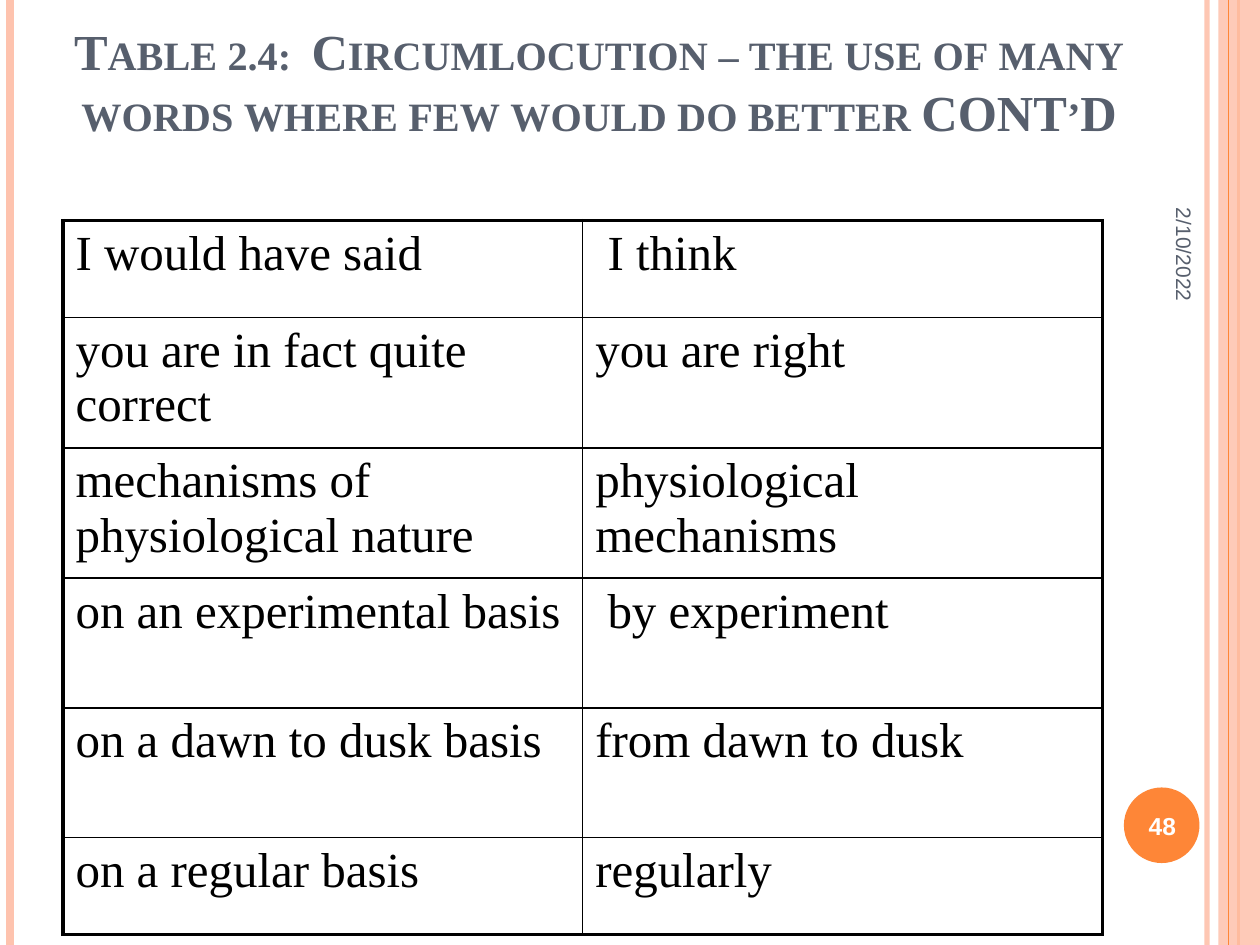
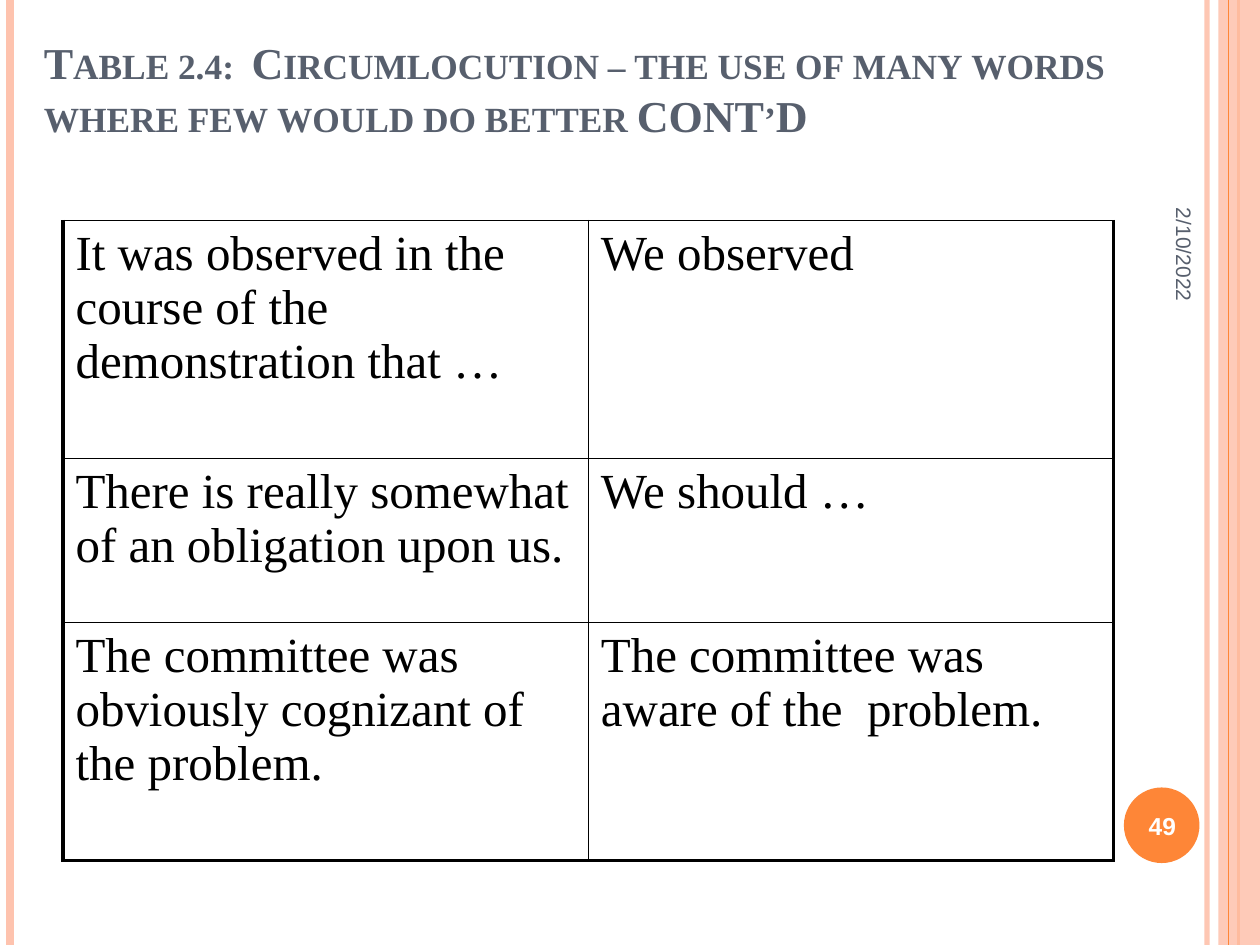
from lxml.etree import SubElement
from pptx import Presentation
from pptx.dml.color import RGBColor
from pptx.enum.shapes import MSO_CONNECTOR, MSO_SHAPE
from pptx.enum.text import MSO_ANCHOR as Anchor, PP_ALIGN as Align
from pptx.oxml.ns import qn
from pptx.util import Inches, Pt

COLORS = {"peach": "FEC3AE", "orange": "FE8637", "slate": "575F6D",
          "black": "000000", "white": "FFFFFF"}
SERIF, SANS = "Times New Roman", "Arial"
SLIDE_WIDTH, SLIDE_HEIGHT = 10, 7.5
THICK, THIN = 2.25, 1

TITLE = ("Table 2.4:  Circumlocution – the use of many words "
         "where few would do better CONT’D")
TITLE_FORMAT = {"name": SERIF, "bold": True, "color": "slate"}
CELL_FORMAT = {"name": SERIF, "size": Pt(28), "color": "black"}
DATE_FORMAT = {"name": SANS, "size": Pt(12), "color": "slate"}
NUMBER_FORMAT = {"name": SANS, "size": Pt(14), "bold": True, "color": "white"}

SLIDES = [
    {"number": 48, "title_left": 0.17, "title_size": 28.8, "align": Align.CENTER,
     "column": 4.125, "top_border": THICK,
     "heights": [0.77, 1.03, 1.03, 1.03, 1.03, 0.77],
     "rows": [("I would have said", " I think"),
              ("you are in fact quite correct", "you are right"),
              ("mechanisms of physiological nature", "physiological mechanisms"),
              ("on an experimental basis", " by experiment"),
              ("on a dawn to dusk basis", "from dawn to dusk"),
              ("on a regular basis", "regularly")]},
    {"number": 49, "title_left": 0.25, "title_size": 25.2, "align": Align.LEFT,
     "column": 4.17, "top_border": THIN,
     "heights": [1.89, 1.3, 1.89],
     "rows": [("It was observed in the course of the demonstration that …",
               "We observed"),
              ("There is really somewhat of an obligation upon us.",
               "We should …"),
              ("The committee was obviously cognizant of the problem.",
               "The committee was aware of the  problem.")]},
]


def rgb(name):
    return RGBColor.from_string(COLORS[name])


def set_alpha(properties, percent):
    """Make every solid colour below the element partly transparent."""
    for color in properties.iter(qn("a:srgbClr")):
        SubElement(color, qn("a:alpha"), val=str(percent * 1000))


def write(text_frame, text, text_format, align=Align.LEFT):
    paragraph = text_frame.paragraphs[0]
    paragraph.alignment = align
    run = paragraph.add_run()
    run.text = text
    for name, value in text_format.items():
        if name == "color":
            run.font.color.rgb = rgb(value)
        else:
            setattr(run.font, name, value)
    return run


def add_text(slide, box, text, text_format, align, anchor):
    shape = slide.shapes.add_textbox(*map(Inches, box))
    shape.text_frame.word_wrap = True
    shape.text_frame.vertical_anchor = anchor
    run = write(shape.text_frame, text, text_format, align)
    return shape, run


def add_stripe(slide, x, color, width, alpha=None):
    line = slide.shapes.add_connector(MSO_CONNECTOR.STRAIGHT, Inches(x), 0,
                                      Inches(x), Inches(SLIDE_HEIGHT))
    line.line.color.rgb = rgb(color)
    line.line.width = Pt(width)
    properties = line.element.spPr
    if alpha:
        set_alpha(properties, alpha)
    SubElement(properties, qn("a:effectLst"))


def add_filled_shape(slide, kind, box, color, alpha=None):
    shape = slide.shapes.add_shape(kind, *map(Inches, box))
    shape.shadow.inherit = False
    shape.fill.solid()
    shape.fill.fore_color.rgb = rgb(color)
    shape.line.fill.background()
    if alpha:
        set_alpha(shape.element.spPr, alpha)


def add_frame(slide, number):
    # Stripes down both edges
    add_stripe(slide, 9.58, "peach", 3, alpha=93)
    add_stripe(slide, 0.08, "peach", 4.5)
    add_stripe(slide, 9.83, "orange", 1.5)
    add_filled_shape(slide, MSO_SHAPE.RECTANGLE,
                     (9.67, 0, 0.33, SLIDE_HEIGHT), "peach", alpha=87)
    add_stripe(slide, 9.75, "orange", 0.75)
    # Number badge and sideways date
    add_filled_shape(slide, MSO_SHAPE.OVAL, (8.92, 6.25, 0.6, 0.6), "orange")
    date, _ = add_text(slide, (8.3, 1.18, 2.2, 0.42), "2/10/2022",
                       DATE_FORMAT, Align.RIGHT, Anchor.MIDDLE)
    date.rotation = 90
    add_text(slide, (8.89, 6.27, 0.67, 0.57), str(number),
             NUMBER_FORMAT, Align.CENTER, Anchor.MIDDLE)


def add_title(slide, left, size, align):
    text_format = {**TITLE_FORMAT, "size": Pt(size)}
    _, run = add_text(slide, (left, 0.3, 9.17, 0.87), TITLE, text_format,
                      align, Anchor.BOTTOM)
    run.font._element.set("cap", "small")


def set_borders(cell, widths):
    properties = cell._tc.get_or_add_tcPr()
    for index, (side, width) in enumerate(widths.items()):
        line = properties.makeelement(qn(f"a:ln{side}"), {"w": str(Pt(width))})
        fill = SubElement(line, qn("a:solidFill"))
        SubElement(fill, qn("a:srgbClr"), val=COLORS["black"])
        properties.insert(index, line)


def add_wording_table(slide, rows, heights, column, top_border):
    frame = slide.shapes.add_table(len(rows), 2, Inches(0.5), Inches(1.75),
                                   Inches(2 * column), Inches(sum(heights)))
    table = frame.table
    table.first_row = table.horz_banding = False
    for table_column in table.columns:
        table_column.width = Inches(column)
    last = len(rows) - 1
    for row_index, (texts, height) in enumerate(zip(rows, heights)):
        table.rows[row_index].height = Inches(height)
        for column_index, text in enumerate(texts):
            cell = table.cell(row_index, column_index)
            cell.fill.background()
            write(cell.text_frame, text, CELL_FORMAT)
            # Heavy outline, thin inner rules
            set_borders(cell, {
                "L": THIN if column_index else THICK,
                "R": THICK if column_index else THIN,
                "T": THIN if row_index else top_border,
                "B": THICK if row_index == last else THIN})


def main():
    presentation = Presentation()
    presentation.slide_width = Inches(SLIDE_WIDTH)
    presentation.slide_height = Inches(SLIDE_HEIGHT)
    for content in SLIDES:
        slide = presentation.slides.add_slide(presentation.slide_layouts[6])
        add_frame(slide, content["number"])
        add_title(slide, content["title_left"], content["title_size"],
                  content["align"])
        add_wording_table(slide, content["rows"], content["heights"],
                          content["column"], content["top_border"])
    presentation.save("out.pptx")


if __name__ == "__main__":
    main()
